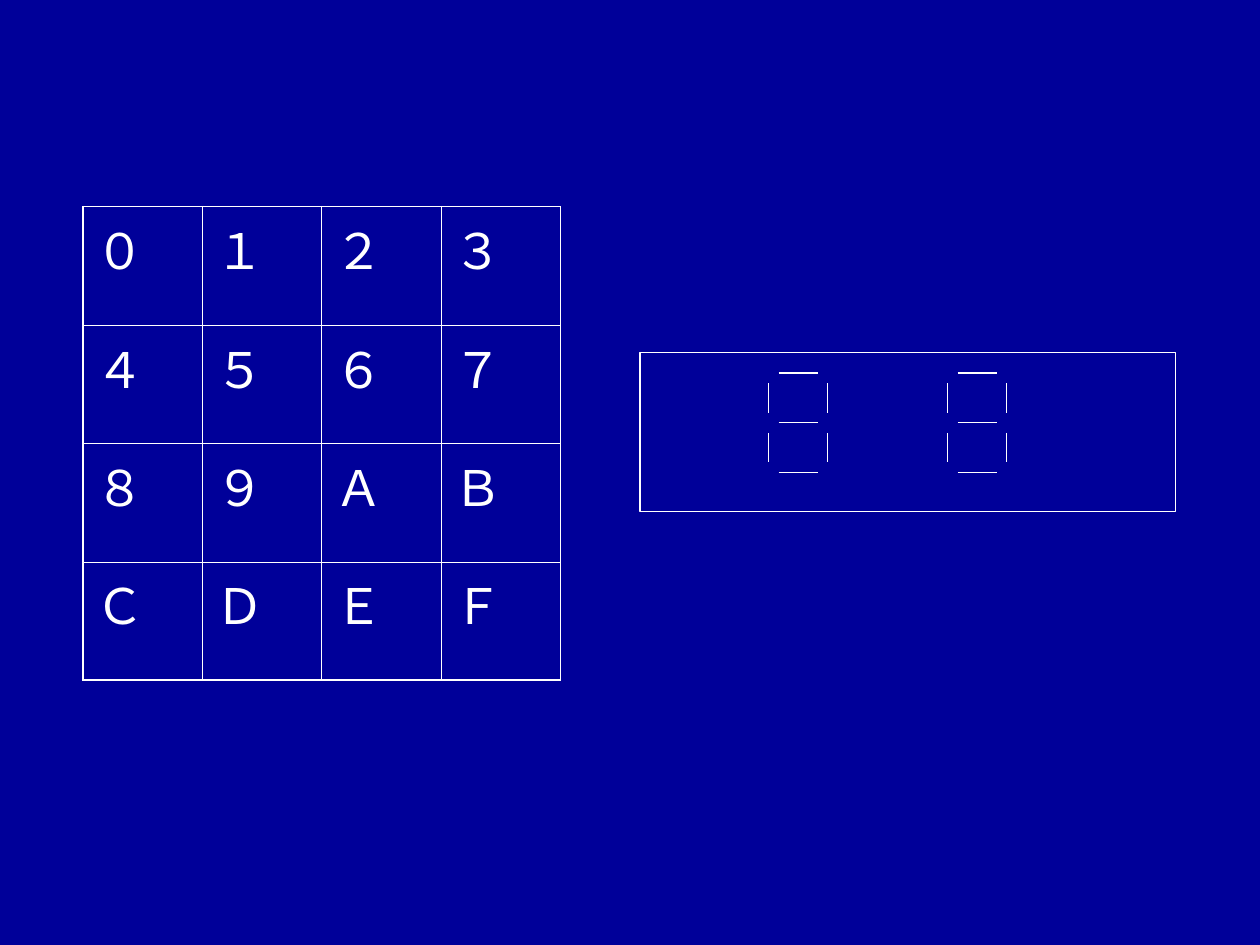
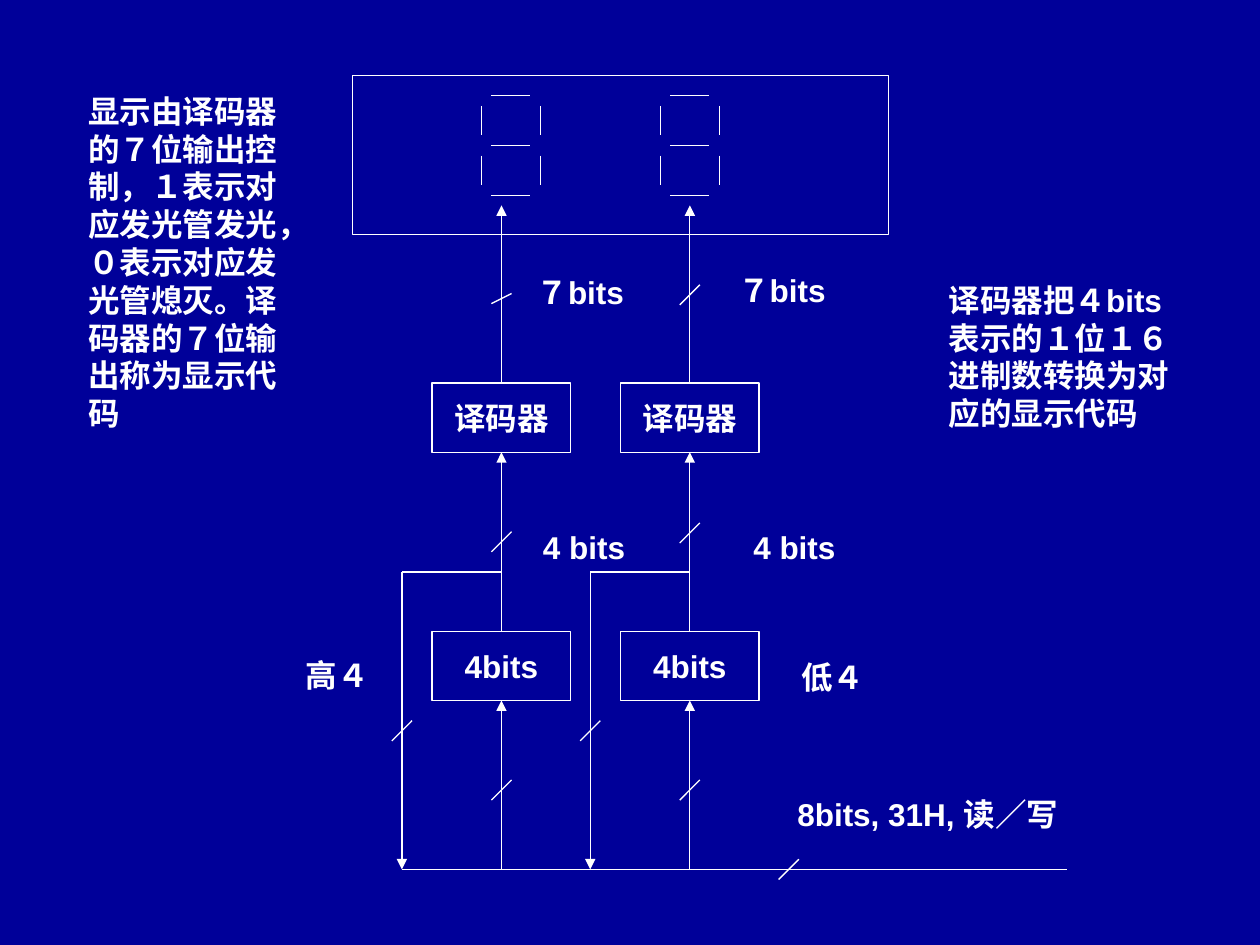
import pptx
import pptx.dml.color
import pptx.enum.shapes
import pptx.enum.text
import pptx.oxml
import pptx.oxml.ns
import pptx.util

Inches = pptx.util.Inches
Pt = pptx.util.Pt

COLORS = {"background": "000099", "ink": "FFFFFF"}
FONT = "Arial"
LINE_WIDTH = 0.75
TICK_SIZE = 0.16
KEY_BORDER_OUTER, KEY_BORDER_INNER = 1.08, 0.45

KEYS = ["０１２３", "４５６７", "８９ＡＢ", "ＣＤＥＦ"]
DISPLAY_CODE_NOTE = ["显示由译码器", "的７位输出控", "制，１表示对", "应发光管发光，",
                     "０表示对应发", "光管熄灭。译", "码器的７位输", "出称为显示代", "码"]
DECODER_NOTE = ["译码器把４bits", "表示的１位１６", "进制数转换为对", "应的显示代码"]


def rgb(name):
    return pptx.dml.color.RGBColor.from_string(COLORS[name])


def style_text(frame, size, bold=False):
    for paragraph in frame.paragraphs:
        for run in paragraph.runs:
            run.font.name = FONT
            run.font.size = Pt(size)
            run.font.bold = bold
            run.font.color.rgb = rgb("ink")


def add_slide(prs):
    slide = prs.slides.add_slide(prs.slide_layouts[6])
    slide.background.fill.solid()
    slide.background.fill.fore_color.rgb = rgb("background")
    return slide


def add_line(shapes, x1, y1, x2, y2, arrow=False):
    line = shapes.add_connector(pptx.enum.shapes.MSO_CONNECTOR.STRAIGHT,
                                Inches(x1), Inches(y1), Inches(x2), Inches(y2))
    line.line.color.rgb = rgb("ink")
    line.line.width = Pt(LINE_WIDTH)
    if arrow:
        tail = pptx.oxml.parse_xml(
            f'<a:tailEnd {pptx.oxml.ns.nsdecls("a")} type="triangle"/>')
        line.line._get_or_add_ln().append(tail)
    line._element.spPr.append(
        pptx.oxml.parse_xml(f'<a:effectLst {pptx.oxml.ns.nsdecls("a")}/>'))


def add_tick(shapes, x, top, height=TICK_SIZE):
    """Draw the slash that marks a line as a bus."""
    add_line(shapes, x + TICK_SIZE / 2, top, x - TICK_SIZE / 2, top + height)


def add_box(shapes, left, top, width, height, label=""):
    box = shapes.add_shape(pptx.enum.shapes.MSO_SHAPE.RECTANGLE, Inches(left),
                           Inches(top), Inches(width), Inches(height))
    box.shadow.inherit = False
    box.fill.background()
    box.line.color.rgb = rgb("ink")
    box.line.width = Pt(LINE_WIDTH)
    if label:
        frame = box.text_frame
        frame.text = label
        frame.word_wrap = False
        frame.vertical_anchor = pptx.enum.text.MSO_ANCHOR.MIDDLE
        frame.paragraphs[0].alignment = pptx.enum.text.PP_ALIGN.CENTER
        style_text(frame, 18, bold=True)


def add_label(shapes, left, top, width, lines):
    height = 0.1 + 0.3 * len(lines)
    label = shapes.add_textbox(Inches(left), Inches(top), Inches(width), Inches(height))
    frame = label.text_frame
    frame.text = "\n".join(lines)
    frame.word_wrap = False
    frame.auto_size = pptx.enum.text.MSO_AUTO_SIZE.SHAPE_TO_FIT_TEXT
    style_text(frame, 18, bold=True)


def add_digit(slide, left, top):
    """Draw a seven-segment digit as one group."""
    segments = slide.shapes.add_group_shape().shapes
    width, half, gap = 0.47, 0.395, 0.08
    for row in range(3):
        y = top + row * half
        add_line(segments, left + gap, y, left + width - gap, y)
    for row in range(2):
        y = top + row * half
        for x in (left, left + width):
            add_line(segments, x, y + gap, x, y + half - gap)


def add_display(slide, left, top):
    add_box(slide.shapes, left, top, 4.25, 1.26)
    for place in range(2):
        add_digit(slide, left + 1.02 + 1.42 * place, top + 0.16)


def add_cell_borders(cell, row, column, last):
    edges = {"L": column == 0, "R": column == last, "T": row == 0, "B": row == last}
    for side, outer in edges.items():
        width = Pt(KEY_BORDER_OUTER if outer else KEY_BORDER_INNER)
        cell._tc.get_or_add_tcPr().append(pptx.oxml.parse_xml(
            f'<a:ln{side} {pptx.oxml.ns.nsdecls("a")} w="{int(width)}"><a:solidFill>'
            f'<a:srgbClr val="{COLORS["ink"]}"/></a:solidFill></a:ln{side}>'))


def add_keypad(slide, left, top, width, height):
    count = len(KEYS)
    keypad = slide.shapes.add_table(count, count, Inches(left), Inches(top),
                                    Inches(width), Inches(height)).table
    keypad.first_row = keypad.horz_banding = False
    for row, keys in enumerate(KEYS):
        for column, key in enumerate(keys):
            cell = keypad.cell(row, column)
            cell.text = key
            style_text(cell.text_frame, 28)
            add_cell_borders(cell, row, column, count - 1)
            cell.fill.background()


def add_lane(slide, x, top, bus_y, ticks):
    """Draw one digit's path: bus, 4-bit latch, decoder, display, and read-back."""
    shapes = slide.shapes
    box_width, box_height = 1.1, 0.55
    decoder_y, latch_y = top + 1.41, top + 3.38
    for y, name in ((decoder_y, "译码器"), (latch_y, "4bits")):
        add_box(shapes, x - box_width / 2, y, box_width, box_height, name)
    for start, end in ((decoder_y, top), (latch_y, decoder_y + box_height),
                       (bus_y, latch_y + box_height)):
        add_line(shapes, x, start, x, end, arrow=True)
    for tick_y, tick_height in ticks:
        add_tick(shapes, x, tick_y, tick_height)
    add_tick(shapes, x, bus_y - 0.71)

    return_x, branch_y = x - 0.79, latch_y - 0.47
    add_line(shapes, x, branch_y, return_x, branch_y)
    add_line(shapes, return_x, branch_y, return_x, bus_y, arrow=True)
    add_tick(shapes, return_x, bus_y - 1.18)


def build_keypad_slide(prs):
    slide = add_slide(prs)
    add_keypad(slide, 0.66, 1.64, 3.79, 3.76)
    add_display(slide, 5.08, 2.8)


def build_decoder_slide(prs):
    slide = add_slide(prs)
    shapes = slide.shapes
    add_display(slide, 2.8, 0.6)
    bus_y = 6.9
    lane_ticks = [((2.33, 0.08), (4.22, TICK_SIZE)),
                  ((2.26, TICK_SIZE), (4.15, TICK_SIZE))]
    for lane, ticks in enumerate(lane_ticks):
        add_lane(slide, 3.98 + 1.495 * lane, 1.63, bus_y, ticks)
    add_line(shapes, 3.19, bus_y, 8.47, bus_y)
    add_tick(shapes, 6.26, bus_y - TICK_SIZE / 2)

    for left, top, width, lines in (
            (4.16, 2.12, 0.95, ["７bits"]),
            (5.76, 2.1, 0.95, ["７bits"]),
            (4.21, 4.14, 0.85, ["4 bits"]),
            (5.88, 4.14, 0.85, ["4 bits"]),
            (6.23, 6.26, 2.33, ["8bits, 31H, 读／写"]),
            (2.33, 5.16, 0.7, ["高４"]),
            (6.26, 5.17, 0.7, ["低４"]),
            (0.6, 0.68, 1.95, DISPLAY_CODE_NOTE),
            (7.43, 2.18, 1.95, DECODER_NOTE)):
        add_label(shapes, left, top, width, lines)


def main():
    prs = pptx.Presentation()
    prs.slide_width, prs.slide_height = Inches(10), Inches(7.5)
    build_keypad_slide(prs)
    build_decoder_slide(prs)
    prs.save("out.pptx")


if __name__ == "__main__":
    main()
